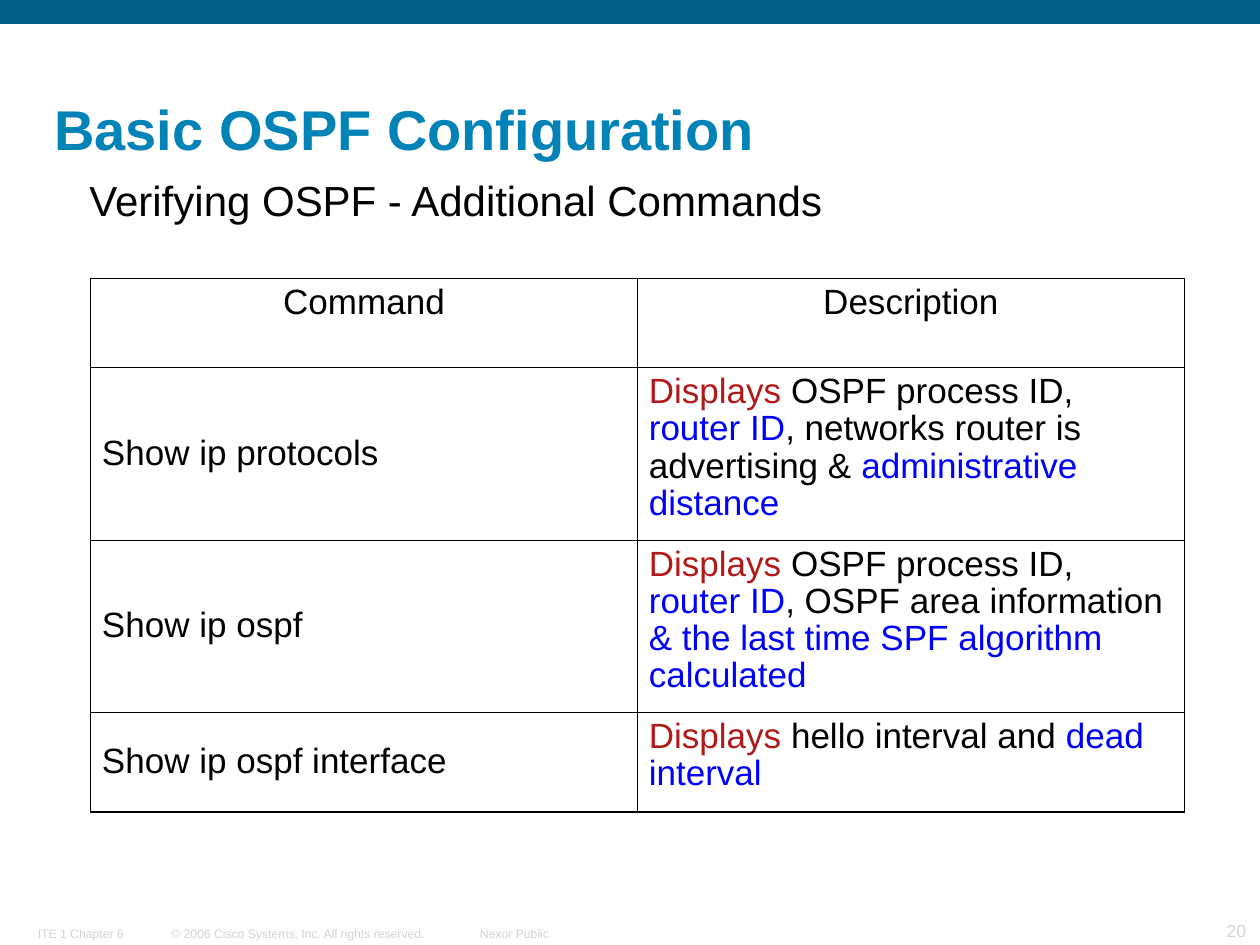
from lxml.etree import SubElement
from pptx import Presentation
from pptx.dml.color import RGBColor
from pptx.enum.shapes import MSO_SHAPE
from pptx.enum.text import MSO_ANCHOR, PP_ALIGN
from pptx.oxml.ns import qn
from pptx.util import Pt

COLORS = {
    "bar": "015F85",
    "title": "0183B7",
    "footer": "D3D3D3",
    "text": "000000",
    "verb": "B21A1A",
    "key": "0000FF",
}
HEADERS = ["Command", "Description"]
COMMANDS = [
    ("Show ip protocols", [
        ("Displays", "verb"), (" OSPF process ID, ", "text"), ("router ID", "key"),
        (", networks router is advertising & ", "text"),
        ("administrative distance", "key")]),
    ("Show ip ospf", [
        ("Displays ", "verb"), ("OSPF process ID, ", "text"), ("router ID", "key"),
        (", OSPF area information ", "text"),
        ("& the last time SPF algorithm calculated", "key")]),
    ("Show ip ospf interface", [
        ("Displays", "verb"), (" hello interval and ", "text"),
        ("dead interval", "key")]),
]
# left, top, width, height, size, text, alignment
FOOTERS = [
    (15.1, 525.6, 75.6, 15.1, 7, "ITE 1 Chapter 6", PP_ALIGN.LEFT),
    (91.4, 525.6, 172, 15.1, 7,
     "© 2006 Cisco Systems, Inc. All rights reserved.", PP_ALIGN.LEFT),
    (267.8, 525.6, 70, 15.1, 7, "Nexor Public", PP_ALIGN.LEFT),
    (660.2, 522, 58.3, 18.7, 10, "20", PP_ALIGN.RIGHT),
]


class SlideBuilder:
    font_name = "Arial"
    outer_line = 1.08
    inner_line = 0.45

    def __init__(self, slide):
        self.slide = slide

    def color(self, name):
        return RGBColor.from_string(COLORS[name])

    def style(self, paragraph, size, color=None, bold=False,
              alignment=PP_ALIGN.LEFT, spacing=None):
        paragraph.alignment = alignment
        paragraph.line_spacing = spacing
        paragraph.font.name = self.font_name
        paragraph.font.size = Pt(size)
        paragraph.font.bold = bold
        if color:
            paragraph.font.color.rgb = self.color(color)

    def bar(self, left, top, width, height, color):
        shape = self.slide.shapes.add_shape(
            MSO_SHAPE.RECTANGLE, Pt(left), Pt(top), Pt(width), Pt(height))
        shape.shadow.inherit = False
        shape.fill.solid()
        shape.fill.fore_color.rgb = self.color(color)
        shape.line.fill.background()

    def text(self, left, top, width, height, text, size, color,
             anchor=MSO_ANCHOR.BOTTOM, **style):
        box = self.slide.shapes.add_textbox(Pt(left), Pt(top), Pt(width), Pt(height))
        frame = box.text_frame
        frame.word_wrap = True
        frame.vertical_anchor = anchor
        frame.margin_left = frame.margin_right = Pt(6.5)
        frame.margin_top = frame.margin_bottom = Pt(3)
        paragraph = frame.paragraphs[0]
        paragraph.text = text
        self.style(paragraph, size, color, **style)

    def border(self, cell, tag, width):
        line = SubElement(cell._tc.get_or_add_tcPr(), qn(tag), w=str(Pt(width)))
        fill = SubElement(line, qn("a:solidFill"))
        SubElement(fill, qn("a:srgbClr"), val=COLORS["text"])

    def cell(self, cell, runs, anchor, alignment, outer_sides):
        """Fill a cell with (text, color) runs; outer_sides get the thicker line."""
        cell.margin_left = cell.margin_right = Pt(6.5)
        cell.margin_top = cell.margin_bottom = Pt(3.6)
        cell.vertical_anchor = anchor
        for side in "LRTB":
            width = self.outer_line if side in outer_sides else self.inner_line
            self.border(cell, f"a:ln{side}", width)
        cell.fill.background()
        paragraph = cell.text_frame.paragraphs[0]
        self.style(paragraph, 20, alignment=alignment, spacing=0.95)
        for text, color in runs:
            run = paragraph.add_run()
            run.text = text
            run.font.name = self.font_name
            run.font.size = Pt(20)
            run.font.color.rgb = self.color(color)

    def table(self, left, top, column_width, row_heights, headers, commands):
        table = self.slide.shapes.add_table(
            len(row_heights), len(headers), Pt(left), Pt(top),
            Pt(column_width * len(headers)), Pt(sum(row_heights))).table
        table.first_row = table.horz_banding = False
        for column in table.columns:
            column.width = Pt(column_width)
        for row, height in zip(table.rows, row_heights):
            row.height = Pt(height)

        rows = [[[(header, "text")] for header in headers]]
        rows += [[[(command, "text")], runs] for command, runs in commands]
        for row_index, row in enumerate(rows):
            is_header = row_index == 0
            vertical = "T" if is_header else "B" if row_index == len(rows) - 1 else ""
            alignment = PP_ALIGN.CENTER if is_header else PP_ALIGN.LEFT
            for column_index, runs in enumerate(row):
                is_command = column_index == 0 and not is_header
                anchor = MSO_ANCHOR.MIDDLE if is_command else MSO_ANCHOR.TOP
                self.cell(table.cell(row_index, column_index), runs, anchor,
                          alignment, vertical + "LR"[column_index])


def main():
    presentation = Presentation()
    presentation.slide_width, presentation.slide_height = Pt(720), Pt(540)
    slide = presentation.slides.add_slide(presentation.slide_layouts[6])
    builder = SlideBuilder(slide)

    builder.bar(0, 0, 720, 13.7, "bar")
    for left, top, width, height, size, text, alignment in FOOTERS:
        builder.text(left, top, width, height, text, size, "footer",
                     alignment=alignment)
    builder.text(24.5, 54, 641.5, 41.8, "Basic OSPF Configuration", 32, "title",
                 bold=True, spacing=0.9)
    builder.table(51.8, 159.1, 312.5, [51.1, 97.9, 97.9, 56.9], HEADERS, COMMANDS)
    builder.text(44.6, 98.6, 625, 42.5, "Verifying OSPF - Additional Commands",
                 24, "text", anchor=MSO_ANCHOR.TOP, spacing=0.95)

    presentation.save("out.pptx")


if __name__ == "__main__":
    main()
